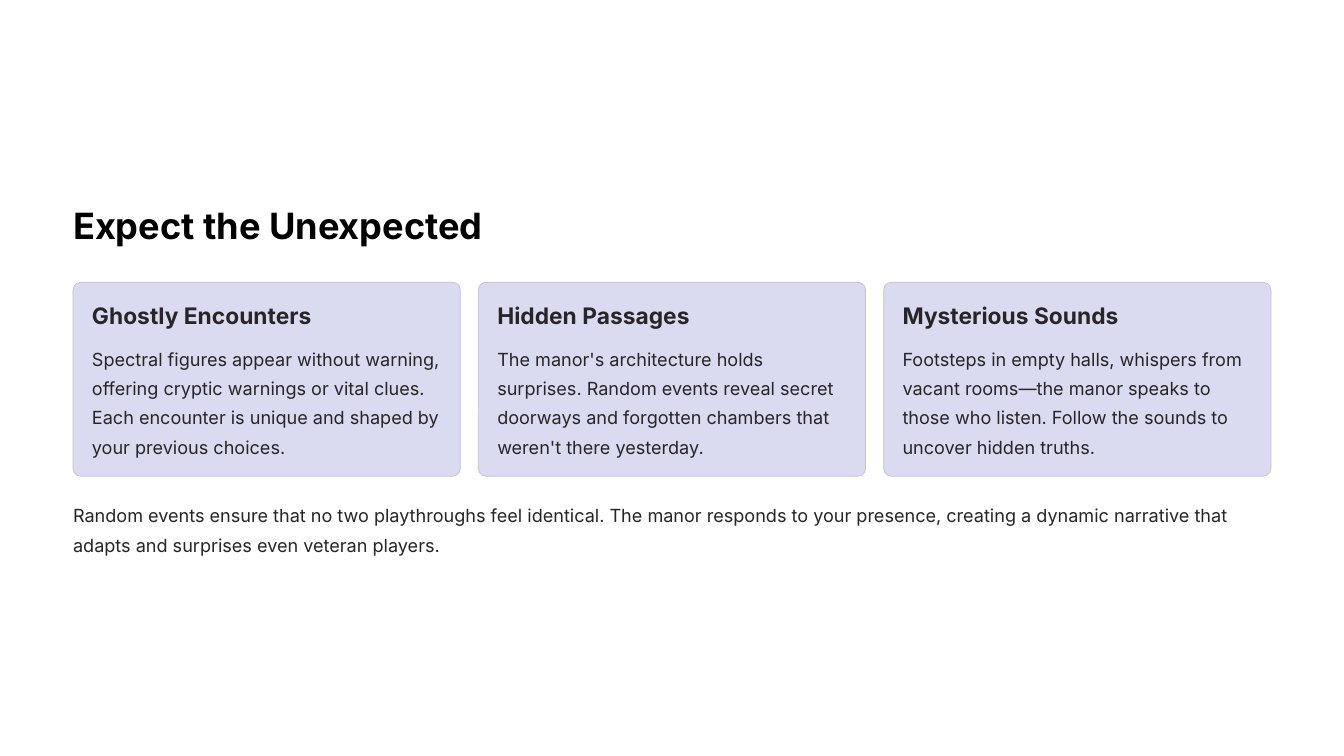
from dataclasses import dataclass

from pptx import Presentation
from pptx.dml.color import RGBColor
from pptx.enum.shapes import MSO_SHAPE as Preset
from pptx.enum.text import MSO_AUTO_SIZE as AutoSize, MSO_ANCHOR as Anchor
from pptx.util import Inches, Pt


@dataclass(frozen=True)
class Theme:
    """Colours, font and type styles of the slide."""
    font: str = "Inter"
    background: str = "FFFFFF"
    title_color: str = "000000"
    text_color: str = "272525"
    card_fill: str = "DADBF1"
    card_line: str = "C0C1D7"
    title_size: float = 31
    title_leading: float = 39
    heading_size: float = 19.5
    heading_leading: float = 24
    body_size: float = 15.5
    body_leading: float = 25


MARGIN = 0.87
CARD_TOP = 3.36
CARD_WIDTH = 4.61
CARD_HEIGHT = 2.31
CARD_STEP = 4.825
PADDING = 0.225

CARDS = [
    ("Ghostly Encounters",
     "Spectral figures appear without warning, offering cryptic warnings or vital clues. "
     "Each encounter is unique and shaped by your previous choices."),
    ("Hidden Passages",
     "The manor's architecture holds surprises. Random events reveal secret doorways "
     "and forgotten chambers that weren't there yesterday."),
    ("Mysterious Sounds",
     "Footsteps in empty halls, whispers from vacant rooms—the manor speaks to those "
     "who listen. Follow the sounds to uncover hidden truths."),
]
CLOSING = (
    "Random events ensure that no two playthroughs feel identical. The manor responds to "
    "your presence, creating a dynamic narrative that adapts and surprises even veteran players."
)


def write_text(frame, text, *, font, size, color, leading, bold=False, wrap=True):
    """Fill a text frame with one formatted paragraph."""
    frame.margin_left = frame.margin_right = frame.margin_top = frame.margin_bottom = 0
    frame.word_wrap = wrap
    frame.auto_size = AutoSize.NONE
    frame.vertical_anchor = Anchor.TOP
    paragraph = frame.paragraphs[0]
    paragraph.line_spacing = Pt(leading)
    run = paragraph.add_run()
    run.text = text
    run.font.name = font
    run.font.size = Pt(size)
    run.font.bold = bold
    run.font.color.rgb = RGBColor.from_string(color)


class SlideBuilder:
    """Draws themed elements on one slide."""

    def __init__(self, slide, theme):
        """Keep the slide and theme, and paint the background."""
        self.slide = slide
        self.theme = theme
        fill = slide.background.fill
        fill.solid()
        fill.fore_color.rgb = RGBColor.from_string(theme.background)

    def text(self, text, left, top, width, height, **style):
        """Add a text box."""
        box = self.slide.shapes.add_textbox(
            Inches(left), Inches(top), Inches(width), Inches(height))
        write_text(box.text_frame, text, font=self.theme.font, **style)

    def title(self, text, left, top, width, height):
        """Add the slide title."""
        theme = self.theme
        self.text(text, left, top, width, height, size=theme.title_size,
                  color=theme.title_color, leading=theme.title_leading, bold=True, wrap=False)

    def heading(self, text, left, top, width, height):
        """Add a card heading."""
        theme = self.theme
        self.text(text, left, top, width, height, size=theme.heading_size,
                  color=theme.text_color, leading=theme.heading_leading, bold=True, wrap=False)

    def body(self, text, left, top, width, height):
        """Add a wrapped body paragraph."""
        theme = self.theme
        self.text(text, left, top, width, height, size=theme.body_size,
                  color=theme.text_color, leading=theme.body_leading)

    def card(self, heading, body, left, top):
        """Add a rounded card with its heading and body."""
        shape = self.slide.shapes.add_shape(
            Preset.ROUNDED_RECTANGLE, Inches(left), Inches(top),
            Inches(CARD_WIDTH), Inches(CARD_HEIGHT))
        shape.adjustments[0] = 0.04
        shape.shadow.inherit = False
        shape.fill.solid()
        shape.fill.fore_color.rgb = RGBColor.from_string(self.theme.card_fill)
        shape.line.color.rgb = RGBColor.from_string(self.theme.card_line)
        shape.line.width = Pt(0.6)
        inner_left = left + PADDING
        self.heading(heading, inner_left, top + 0.23, 2.71, 0.34)
        self.body(body, inner_left, top + 0.7, CARD_WIDTH - 2 * PADDING, 1.39)


def main():
    """Build and save the presentation."""
    presentation = Presentation()
    presentation.slide_width = Inches(16)
    presentation.slide_height = Inches(9)
    slide = presentation.slides.add_slide(presentation.slide_layouts[6])
    builder = SlideBuilder(slide, Theme())
    builder.title("Expect the Unexpected", MARGIN, 2.39, 4.92, 0.54)
    for index, (heading, body) in enumerate(CARDS):
        builder.card(heading, body, MARGIN + index * CARD_STEP, CARD_TOP)
    builder.body(CLOSING, MARGIN, 5.92, 16 - 2 * MARGIN, 0.69)
    presentation.save("out.pptx")


if __name__ == "__main__":
    main()
